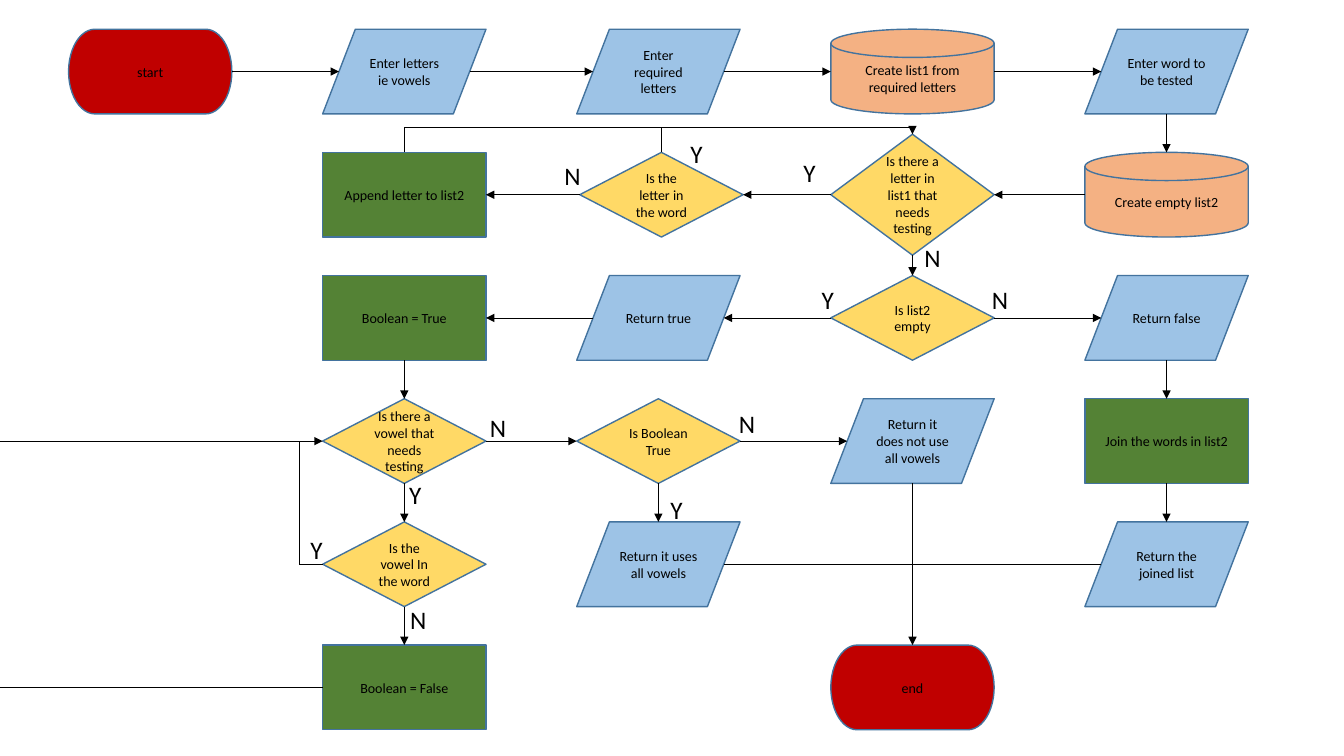
from dataclasses import dataclass

from lxml import etree
from pptx import Presentation
from pptx import util as u
from pptx.dml.color import RGBColor
from pptx.enum import shapes, text
from pptx.oxml import ns

COLORS = {
    "terminal": "C00000", "io": "9DC3E6", "process": "548235",
    "store": "F4B183", "decision": "FFD966",
    "outline": "43739E", "ink": "000000",
}
FORMS = {
    "terminal": shapes.MSO_SHAPE.FLOWCHART_TERMINATOR,
    "io": shapes.MSO_SHAPE.FLOWCHART_DATA,
    "process": shapes.MSO_SHAPE.FLOWCHART_PROCESS,
    "store": shapes.MSO_SHAPE.FLOWCHART_MAGNETIC_DISK,
    "decision": shapes.MSO_SHAPE.FLOWCHART_DECISION,
}
FONT = "Calibri"
LEFT, TOP = 0.68, 0.29
COL_STEP = 2.52
ROW_STEP = (6.4 - TOP) / 5
NODE_W, NODE_H = 1.62, 0.84
SLANT = NODE_W / 10  # how far a parallelogram's side midpoints sit inside its box

Point = tuple[float, float]


@dataclass
class Node:
    """A flowchart step placed on the grid."""
    kind: str
    col: int
    row: int
    caption: str
    shift: float = 0
    height: float = NODE_H

    @property
    def center(self) -> Point:
        """Return the middle of the step."""
        return (LEFT + self.col * COL_STEP + NODE_W / 2 + self.shift,
                TOP + self.row * ROW_STEP + NODE_H / 2)

    def port(self, dx: int, dy: int) -> Point:
        """Return the point where a line meets the side facing (dx, dy)."""
        x, y = self.center
        reach = NODE_W / 2 - (SLANT if self.kind == "io" else 0)
        return x + dx * reach, y + dy * self.height / 2


@dataclass
class Label:
    """A Y or N beside a branch."""
    answer: str
    left: float
    top: float
    width: float


NODES = {
    "start": Node("terminal", 0, 0, "start"),
    "vowels": Node("io", 1, 0, "Enter letters ie vowels"),
    "required": Node("io", 2, 0, "Enter required letters"),
    "list1": Node("store", 3, 0, "Create list1 from required letters"),
    "word": Node("io", 4, 0, "Enter word to be tested"),
    "append": Node("process", 1, 1, "Append letter to list2"),
    "in_word": Node("decision", 2, 1, "Is the letter in the word", shift=0.03),
    "more": Node("decision", 3, 1, "Is there a letter in list1 that needs testing",
                 height=1.2),
    "list2": Node("store", 4, 1, "Create empty list2"),
    "bool_true": Node("process", 1, 2, "Boolean = True"),
    "ret_true": Node("io", 2, 2, "Return true"),
    "empty": Node("decision", 3, 2, "Is list2 empty"),
    "ret_false": Node("io", 4, 2, "Return false"),
    "more_vowels": Node("decision", 1, 3, "Is there a vowel that needs testing"),
    "is_true": Node("decision", 2, 3, "Is Boolean True"),
    "not_all": Node("io", 3, 3, "Return it does not use all vowels"),
    "join": Node("process", 4, 3, "Join the words in list2"),
    "vowel_in": Node("decision", 1, 4, "Is the vowel In the word"),
    "uses_all": Node("io", 2, 4, "Return it uses all vowels"),
    "joined": Node("io", 4, 4, "Return the joined list"),
    "bool_false": Node("process", 1, 5, "Boolean = False"),
    "end": Node("terminal", 3, 5, "end"),
}
CHAINS = [
    "start vowels required list1 word list2 more in_word append",
    "more empty ret_true bool_true more_vowels vowel_in bool_false",
    "empty ret_false join joined",
    "more_vowels is_true not_all end",
    "is_true uses_all",
]
LABELS = [
    Label("Y", 7.87, 1.51, 0.37), Label("N", 9.07, 2.36, 0.35),
    Label("N", 5.5, 1.54, 0.25), Label("Y", 6.75, 1.32, 0.28),
    Label("N", 9.74, 2.77, 0.41), Label("Y", 8.05, 2.77, 0.27),
    Label("Y", 3.96, 4.71, 0.35), Label("N", 3.97, 5.95, 0.25),
    Label("Y", 2.98, 5.25, 0.23), Label("N", 4.76, 4.04, 0.31),
    Label("Y", 6.55, 4.86, 0.25), Label("N", 7.23, 4, 0.25),
]


def rgb(name: str) -> RGBColor:
    """Look up a named colour."""
    return RGBColor.from_string(COLORS[name])


def add_run(p, words: str, size: float) -> None:
    """Add one run of text to a paragraph."""
    r = p.add_run()
    r.text = words
    r.font.name = FONT
    r.font.size = u.Pt(size)
    r.font.color.rgb = rgb("ink")


def draw_node(s, node: Node) -> None:
    """Draw a step with its caption."""
    x, y = node.center
    sp = s.shapes.add_shape(
        FORMS[node.kind], u.Inches(x - NODE_W / 2), u.Inches(y - node.height / 2),
        u.Inches(NODE_W), u.Inches(node.height))
    sp.shadow.inherit = False
    sp.fill.solid()
    sp.fill.fore_color.rgb = rgb(node.kind)
    sp.line.color.rgb = rgb("outline")
    sp.line.width = u.Pt(1)
    tf = sp.text_frame
    tf.word_wrap = True
    tf.vertical_anchor = text.MSO_ANCHOR.MIDDLE
    p = tf.paragraphs[0]
    p.alignment = text.PP_ALIGN.CENTER
    add_run(p, node.caption, 10)


def draw_route(s, points: list[Point], arrow: bool = True) -> None:
    """Draw straight lines through the points, with an arrowhead on the last."""
    for a, b in zip(points, points[1:]):
        line = s.shapes.add_connector(
            shapes.MSO_CONNECTOR.STRAIGHT, *(u.Inches(v) for v in (*a, *b)))
        line.line.color.rgb = rgb("ink")
        line.line.width = u.Pt(0.5)
        etree.SubElement(line._element.spPr, ns.qn("a:effectLst"))
    if arrow:
        etree.SubElement(line.line._get_or_add_ln(), ns.qn("a:tailEnd"), type="triangle")


def draw_link(s, a: Node, b: Node) -> None:
    """Join the facing sides of two steps in one row or column."""
    dx = (b.col > a.col) - (b.col < a.col)
    dy = (b.row > a.row) - (b.row < a.row)
    draw_route(s, [a.port(dx, dy), b.port(-dx, -dy)])


def draw_loops(s) -> None:
    """Draw the routes that turn a corner or leave the slide."""
    append, in_word, more = (NODES[k].port(0, -1) for k in ("append", "in_word", "more"))
    loop_y = 1.26
    above = [(x, loop_y) for x, _ in (append, in_word, more)]
    draw_route(s, [in_word, above[1], above[2], more])
    draw_route(s, [append, above[0], above[1]], arrow=False)

    test, found, reset = (NODES[k].port(-1, 0)
                          for k in ("more_vowels", "vowel_in", "bool_false"))
    loop_x = 2.97
    draw_route(s, [found, (loop_x, found[1]), (loop_x, test[1])], arrow=False)
    draw_route(s, [(0, test[1]), test])
    draw_route(s, [reset, (0, reset[1])], arrow=False)

    draw_route(s, [NODES["uses_all"].port(1, 0), NODES["joined"].port(-1, 0)], arrow=False)


def draw_label(s, label: Label) -> None:
    """Write the answer beside its branch."""
    sp = s.shapes.add_textbox(*(u.Inches(v) for v in (label.left, label.top, label.width, 0.4)))
    tf = sp.text_frame
    tf.word_wrap = True
    add_run(tf.paragraphs[0], label.answer, 18)


def main() -> None:
    """Build and save the slide."""
    prs = Presentation()
    prs.slide_width, prs.slide_height = u.Inches(13.33), u.Inches(7.5)
    s = prs.slides.add_slide(prs.slide_layouts[6])
    for node in NODES.values():
        draw_node(s, node)
    for chain in CHAINS:
        keys = chain.split()
        for a, b in zip(keys, keys[1:]):
            draw_link(s, NODES[a], NODES[b])
    draw_loops(s)
    for label in LABELS:
        draw_label(s, label)
    prs.save("out.pptx")


main()
